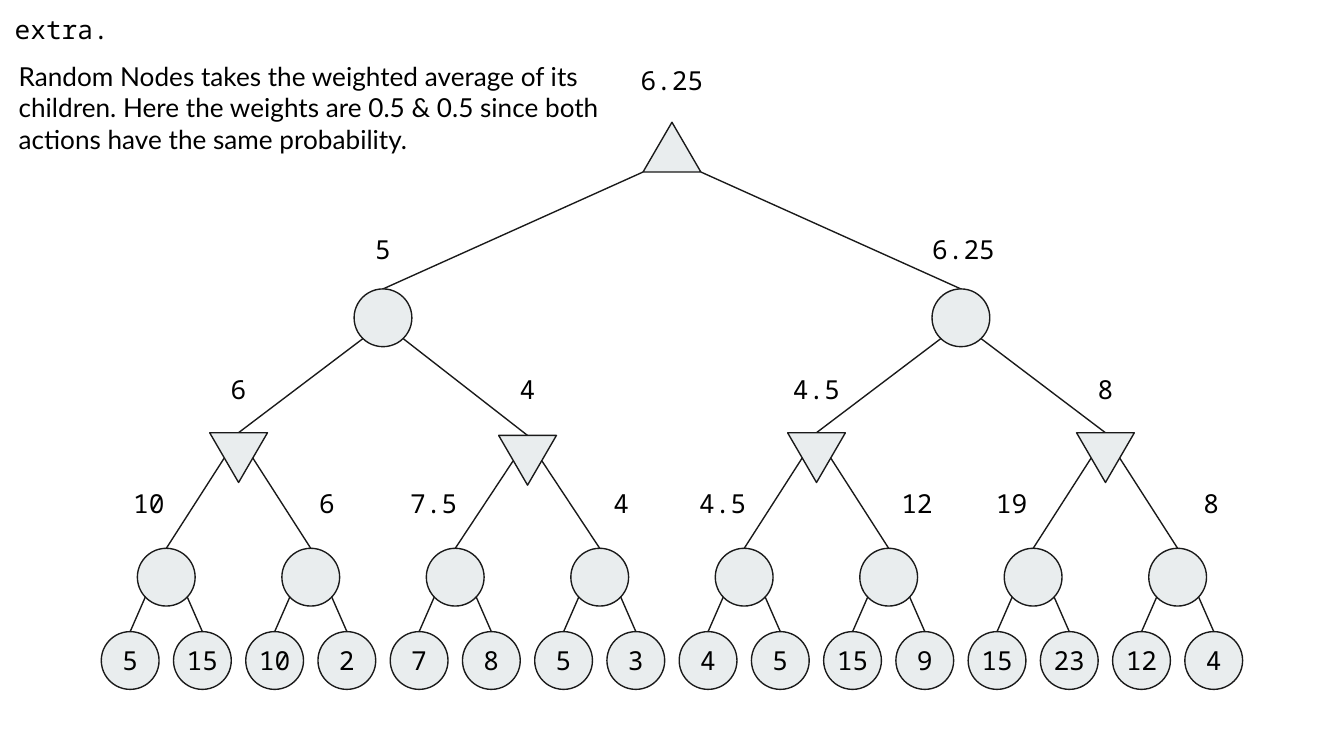
from pptx import Presentation
from pptx.dml.color import RGBColor
from pptx.enum.shapes import MSO_CONNECTOR, MSO_SHAPE
from pptx.enum.text import MSO_ANCHOR, PP_ALIGN
from pptx.oxml.ns import qn
from pptx.util import Pt
from lxml import etree

PX = 9144  # 100 px to the inch
NODE_FILL = RGBColor(0xE9, 0xED, 0xEE)
LINE = RGBColor(0x1A, 0x1A, 0x1A)
BLACK = RGBColor(0, 0, 0)
MONO, SANS = "Noto Sans Mono", "Lato"
CIRCLE, TRIANGLE = MSO_SHAPE.OVAL, MSO_SHAPE.ISOSCELES_TRIANGLE
LEFT, CENTER = PP_ALIGN.LEFT, PP_ALIGN.CENTER
TOP, MIDDLE = MSO_ANCHOR.TOP, MSO_ANCHOR.MIDDLE
STRAIGHT = MSO_CONNECTOR.STRAIGHT

NODE_W, LABEL_W, LABEL_H = 43, 48, 24
CENTER_X, TREE_W = 500, 860

# Levels from the root down: shape, rotation, height, node tops, label top,
# labels, label shifts, and where lines to children leave (dx, dy)
LEVELS = [
    (TRIANGLE, 0, 37, [91], 48, ["6.25"], [0], (21.5, 37)),
    (CIRCLE, 0, 43, [215] * 2, 174, ["5", "6.25"], [0, 2], (15, 37)),
    (TRIANGLE, 180, 37, [322, 324, 322, 322], 278,
     ["6", "4", "4.5", "8"], [0] * 4, (10.75, 19)),
    (CIRCLE, 0, 43, [408] * 8, 363,
     ["10", "6", "7.5", "4", "4.5", "12", "19", "8"],
     [-13, 12, -16, 16, -16, 21, -16, 25], (15.5, 36)),
    (CIRCLE, 0, 43, [470] * 16, None,
     ["5", "15", "10", "2", "7", "8", "5", "3",
      "4", "5", "15", "9", "15", "23", "12", "4"], [0] * 16, None),
]


def emu(*lengths):
    return [round(n * PX) for n in lengths]


def write(sp, text, font=MONO, align=CENTER, anchor=TOP, inset=0, wrap=True):
    tf = sp.text_frame
    tf.word_wrap = wrap
    tf.vertical_anchor = anchor
    tf.margin_left = tf.margin_right = tf.margin_top = tf.margin_bottom = inset * PX
    p = tf.paragraphs[0]
    p.alignment = align
    r = p.add_run()
    r.text = text
    r.font.name = font
    r.font.size = Pt(14)
    r.font.color.rgb = BLACK


prs = Presentation()
prs.slide_width, prs.slide_height = emu(1000, 562.5)
s = prs.slides.add_slide(prs.slide_layouts[6])
shapes = s.shapes

write(shapes.add_textbox(*emu(0, 0, 92, 44)), "extra.", inset=10, wrap=False)
write(shapes.add_textbox(*emu(4, 35, 464, 91)),
      "Random Nodes takes the weighted average of its children. Here the weights "
      "are 0.5 & 0.5 since both actions have the same probability.",
      font=SANS, align=LEFT, inset=10)

parents = []
for shape, rotation, height, tops, label_top, labels, shifts, exit_at in LEVELS:
    pitch = TREE_W / len(tops)
    nodes = []
    for i, (top, label, shift) in enumerate(zip(tops, labels, shifts)):
        x = CENTER_X + (i - (len(tops) - 1) / 2) * pitch
        nodes.append((x, top, exit_at))

        if parents:
            parent_x, parent_top, (dx, dy) = parents[i // 2]
            side = 1 if i % 2 else -1
            line = shapes.add_connector(
                STRAIGHT, *emu(parent_x + side * dx, parent_top + dy, x, top))
            line.line.color.rgb = LINE
            line.line.width = Pt(0.75)
            etree.SubElement(line._element.spPr, qn("a:effectLst"))

        sp = shapes.add_shape(shape, *emu(x - NODE_W / 2, top, NODE_W, height))
        sp.rotation = rotation
        sp.shadow.inherit = False
        sp.fill.solid()
        sp.fill.fore_color.rgb = NODE_FILL
        sp.line.color.rgb = LINE
        sp.line.width = Pt(0.75)

        if label_top is None:
            write(sp, label, anchor=MIDDLE, wrap=False)
        else:
            write(shapes.add_textbox(*emu(x + shift - LABEL_W / 2, label_top,
                                          LABEL_W, LABEL_H)), label)
    parents = nodes

prs.save("out.pptx")
